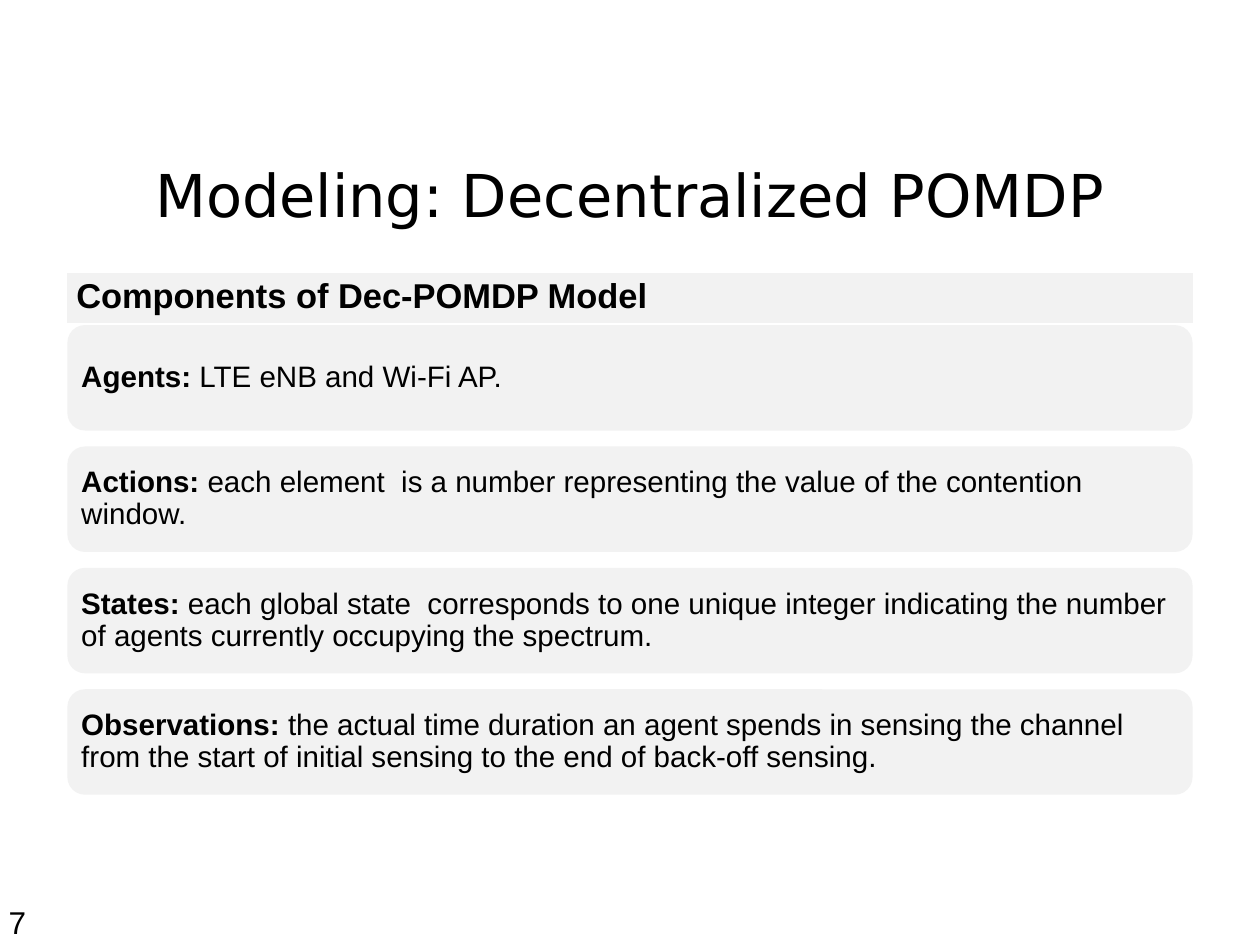
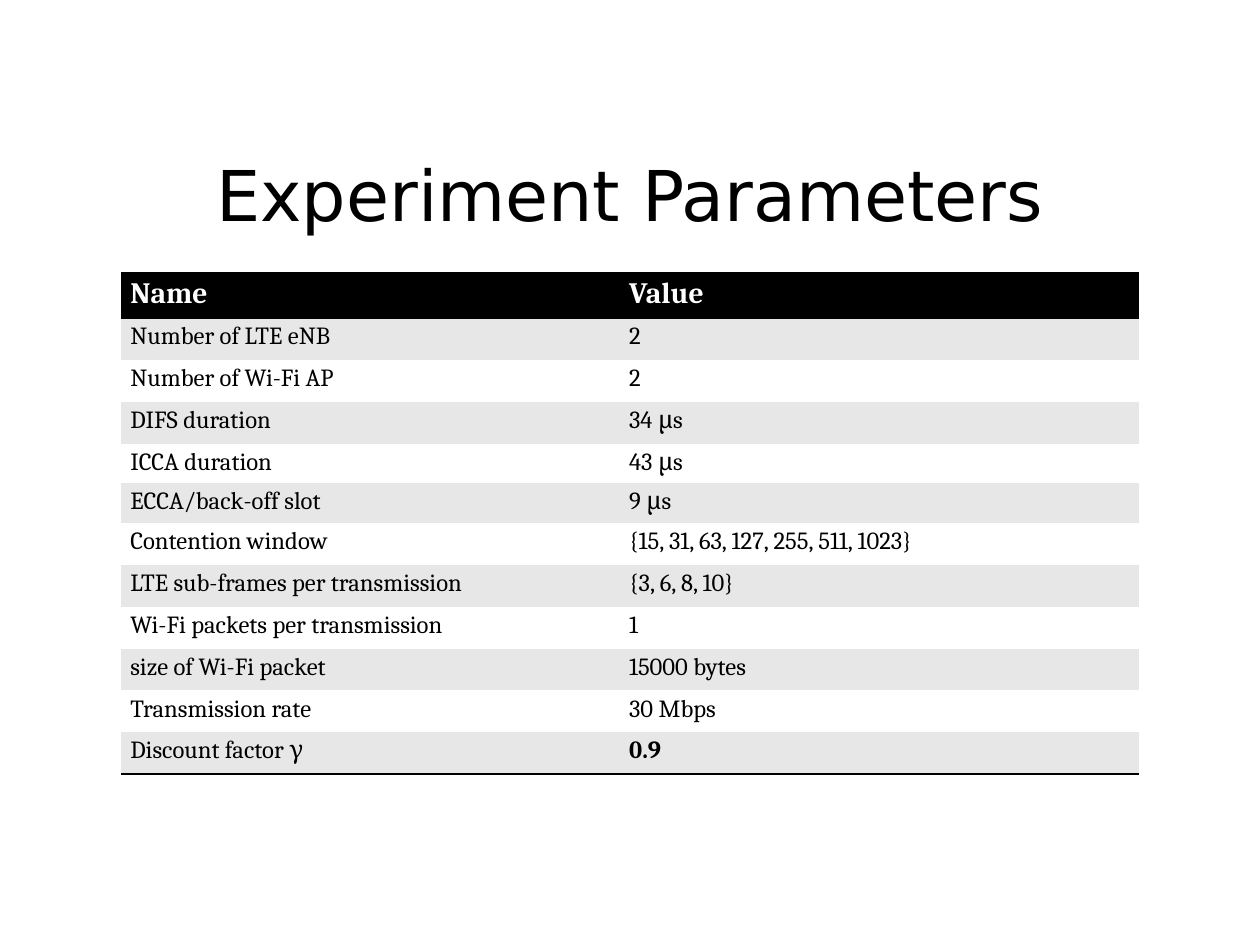
from lxml.etree import SubElement
from pptx import Presentation
from pptx.dml.color import RGBColor
from pptx.enum.shapes import MSO_SHAPE as Shape
from pptx.enum.text import MSO_ANCHOR as Anchor, PP_ALIGN as Align
from pptx.oxml.ns import qn
from pptx.oxml.xmlchemy import OxmlElement
from pptx.util import Pt

# Shared style
WIDTH, HEIGHT = 1024, 768
BLACK = RGBColor(0x00, 0x00, 0x00)
WHITE = RGBColor(0xFF, 0xFF, 0xFF)
PALE_GRAY = RGBColor(0xF2, 0xF2, 0xF2)
BAND_GRAY = RGBColor(0xE7, 0xE7, 0xE7)
TITLE_FONT, BODY_FONT, TABLE_FONT = "DejaVu Sans", "Arial", "Cambria"
PLAIN_TABLE = "{2D5ABB26-0587-4C30-8999-92F81FD0307C}"
CONTENT_TOP = 221.8

# Slide content
COMPONENTS = [
    ("Agents: ", "LTE eNB and Wi-Fi AP."),
    ("Actions: ", "each element  is a number representing the value of the "
                  "contention window."),
    ("States: ", "each global state  corresponds to one unique integer "
                 "indicating the number of agents currently occupying the "
                 "spectrum."),
    ("Observations: ", "the actual time duration an agent spends in sensing "
                       "the channel from the start of initial sensing to the "
                       "end of back-off sensing."),
]
PARAMETERS = [
    ("Name", "Value"),
    ("Number of LTE eNB", "2"),
    ("Number of Wi-Fi AP", "2"),
    ("DIFS duration", "34 μs"),
    ("ICCA duration", "43 μs"),
    ("ECCA/back-off slot", "9 μs"),
    ("Contention window", "{15, 31, 63, 127, 255, 511, 1023}"),
    ("LTE sub-frames per transmission", "{3, 6, 8, 10}"),
    ("Wi-Fi packets per transmission", "1"),
    ("size of Wi-Fi packet", "15000 bytes"),
    ("Transmission rate", "30 Mbps"),
    ("Discount factor γ", "0.9"),
]
SHORT_ROWS = ("ICCA duration", "ECCA/back-off slot")


def write(frame, text, lead="", size=24, font=BODY_FONT, color=BLACK,
          bold=False, align=Align.LEFT, spacing=None):
    """Write one paragraph, with an optional bold lead-in."""
    para = frame.paragraphs[0]
    para.alignment = align
    if spacing:
        para.line_spacing = spacing
    for words, heavy in ((lead, True), (text, bold)):
        if words:
            span = para.add_run()
            span.text = words
            span.font.size = Pt(size)
            span.font.name = font
            span.font.bold = heavy
            span.font.color.rgb = color


def add_text(page, text, left, top, width, height, anchor=Anchor.TOP,
             **style):
    box = page.shapes.add_textbox(Pt(left), Pt(top), Pt(width), Pt(height))
    box.text_frame.word_wrap = True
    box.text_frame.vertical_anchor = anchor
    write(box.text_frame, text, **style)


def add_page(deck, title, title_size):
    page = deck.slides.add_slide(deck.slide_layouts[6])
    add_text(page, title, 77, 93.6, 870, 128, anchor=Anchor.MIDDLE,
             size=title_size, font=TITLE_FONT, align=Align.CENTER)
    return page


def add_card(page, lead, text, left, top, width, height):
    card = page.shapes.add_shape(Shape.ROUNDED_RECTANGLE, Pt(left), Pt(top),
                                 Pt(width), Pt(height))
    card.shadow.inherit = False
    card.fill.solid()
    card.fill.fore_color.rgb = PALE_GRAY
    card.line.fill.background()
    frame = card.text_frame
    frame.word_wrap = True
    frame.vertical_anchor = Anchor.MIDDLE
    frame.margin_left = frame.margin_right = Pt(7.2)
    frame.margin_top = frame.margin_bottom = Pt(7.2)
    write(frame, text, lead=lead, spacing=0.9)


def add_plain_table(page, left, top, columns, rows):
    """Add a table without style, from column widths and row heights."""
    table = page.shapes.add_table(len(rows), len(columns), Pt(left), Pt(top),
                                  Pt(sum(columns)), Pt(sum(rows))).table
    table.first_row = table.horz_banding = False
    table._tbl.tblPr.find(qn("a:tableStyleId")).text = PLAIN_TABLE
    for column, width in zip(table.columns, columns):
        column.width = Pt(width)
    for row, height in zip(table.rows, rows):
        row.height = Pt(height)
    return table


def fill_cell(cell, text, fill, edges=(), **style):
    cell.fill.solid()
    cell.fill.fore_color.rgb = fill
    write(cell.text_frame, text, **style)
    # Borders come before the fill in the cell properties
    for position, edge in enumerate(edges):
        line = OxmlElement(f"a:{edge}")
        line.set("w", str(Pt(2)))
        paint = SubElement(line, qn("a:solidFill"))
        SubElement(paint, qn("a:srgbClr")).set("val", str(BLACK))
        cell._tc.get_or_add_tcPr().insert(position, line)


def build_model_page(deck):
    page = add_page(deck, "Modeling: Decentralized POMDP", 48)
    width, height, pitch = 914.4, 85.7, 98.65
    left = (WIDTH - width) / 2

    # Component cards
    for index, (lead, text) in enumerate(COMPONENTS):
        add_card(page, lead, text, left, 264.2 + index * pitch, width, height)

    # Slide number
    add_text(page, "7", 0, 730, 230, 41, size=25.6)

    # Heading band
    band = add_plain_table(page, left, CONTENT_TOP, [width], [35.3])
    fill_cell(band.cell(0, 0), "Components of Dec-POMDP Model", PALE_GRAY,
              size=28, bold=True)


def build_parameter_page(deck):
    page = add_page(deck, "Experiment Parameters", 56.9)
    heights = [36.5] + [32.2 if name in SHORT_ROWS else 34.1
                        for name, _ in PARAMETERS[1:]]
    columns = [405.4, 421.2]
    table = add_plain_table(page, (WIDTH - sum(columns)) / 2, CONTENT_TOP,
                            columns, heights)
    last = len(PARAMETERS) - 1
    for row, pair in enumerate(PARAMETERS):
        for column, text in enumerate(pair):
            cell = table.cell(row, column)
            if row == 0:
                fill_cell(cell, text, BLACK, edges=("lnT", "lnB"),
                          font=TABLE_FONT, color=WHITE, bold=True)
            else:
                fill_cell(cell, text, BAND_GRAY if row % 2 else WHITE,
                          edges=("lnB",) if row == last else (),
                          size=20, font=TABLE_FONT,
                          bold=(row, column) == (last, 1))


def main():
    deck = Presentation()
    deck.slide_width, deck.slide_height = Pt(WIDTH), Pt(HEIGHT)
    build_model_page(deck)
    build_parameter_page(deck)
    deck.save("out.pptx")


if __name__ == "__main__":
    main()
